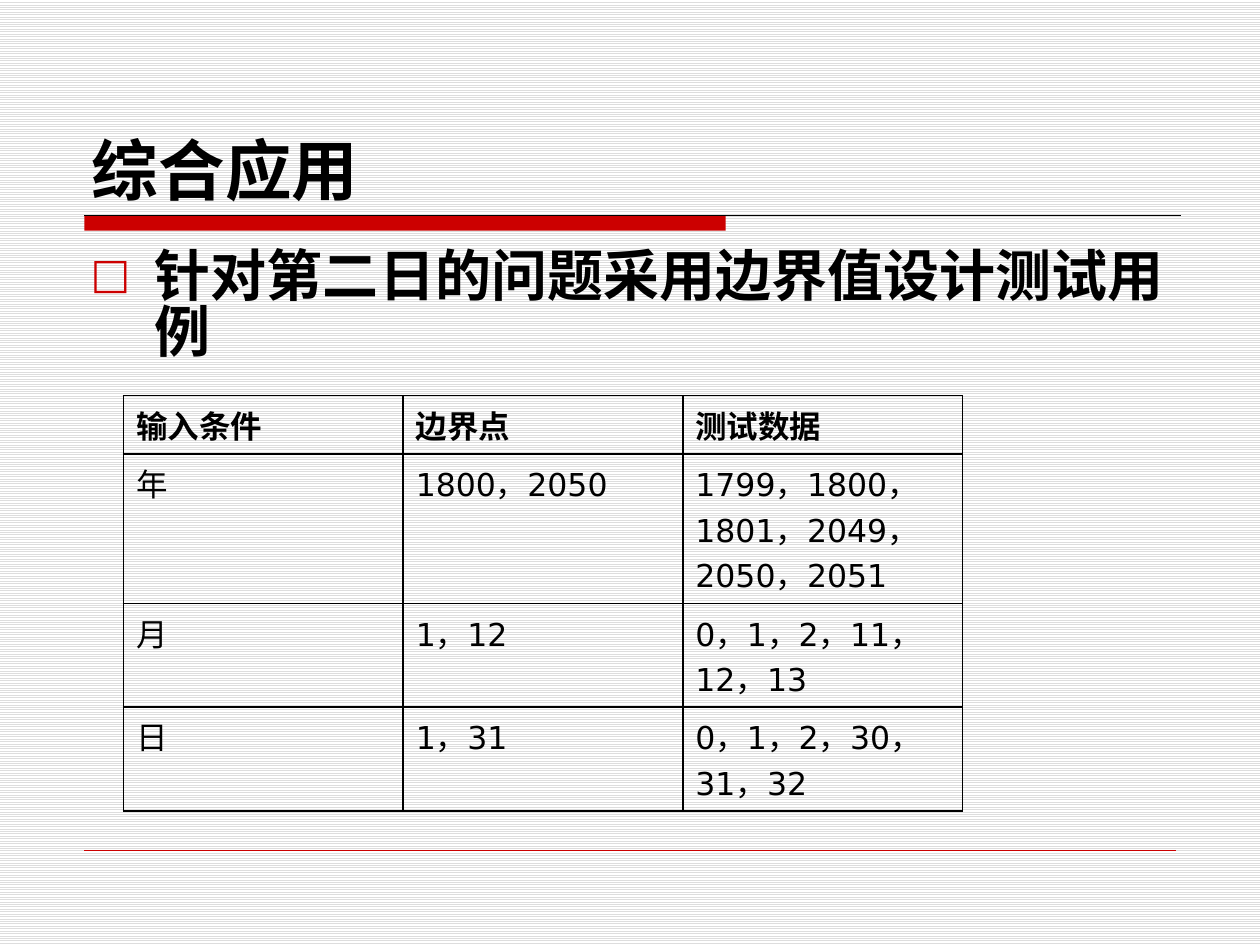
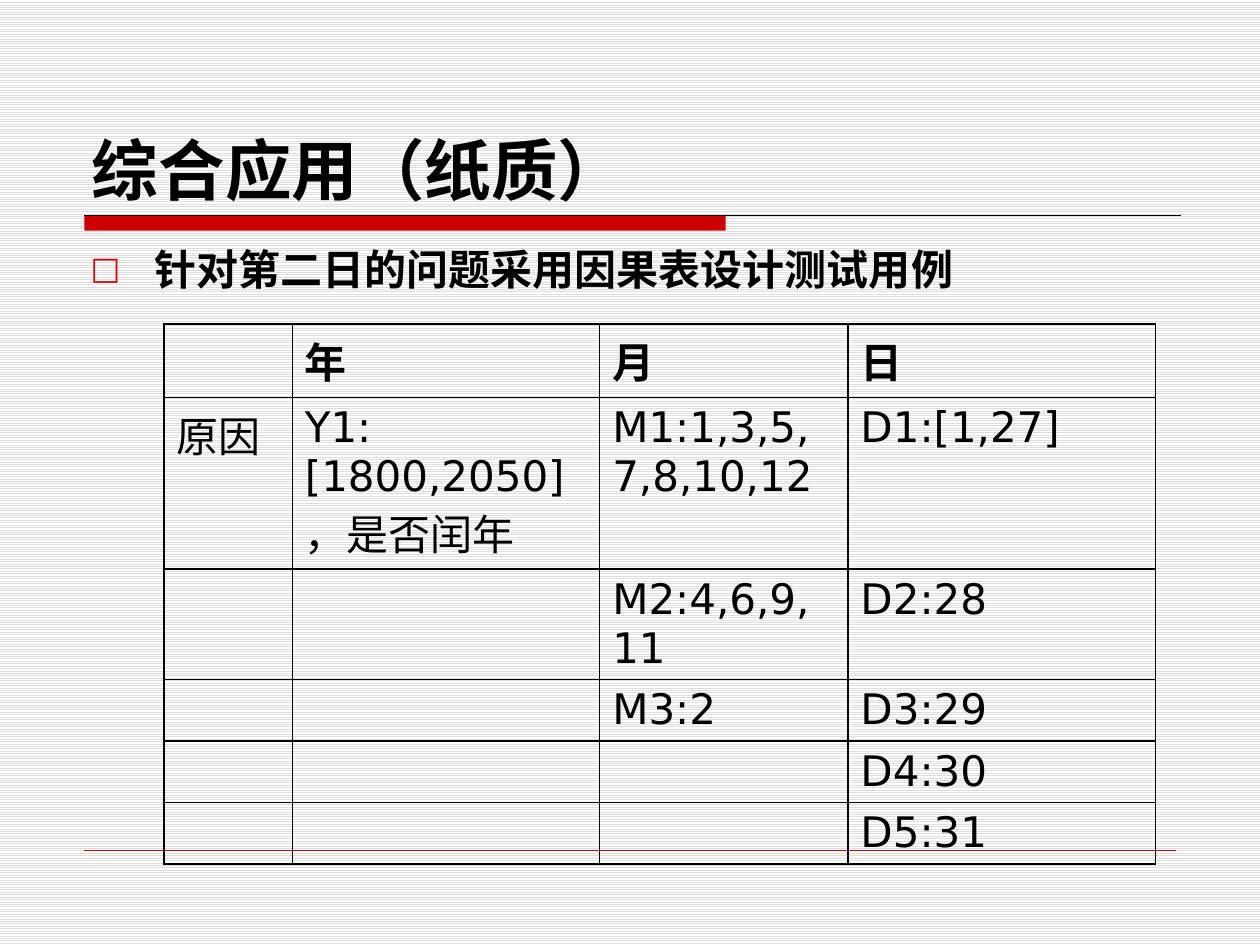
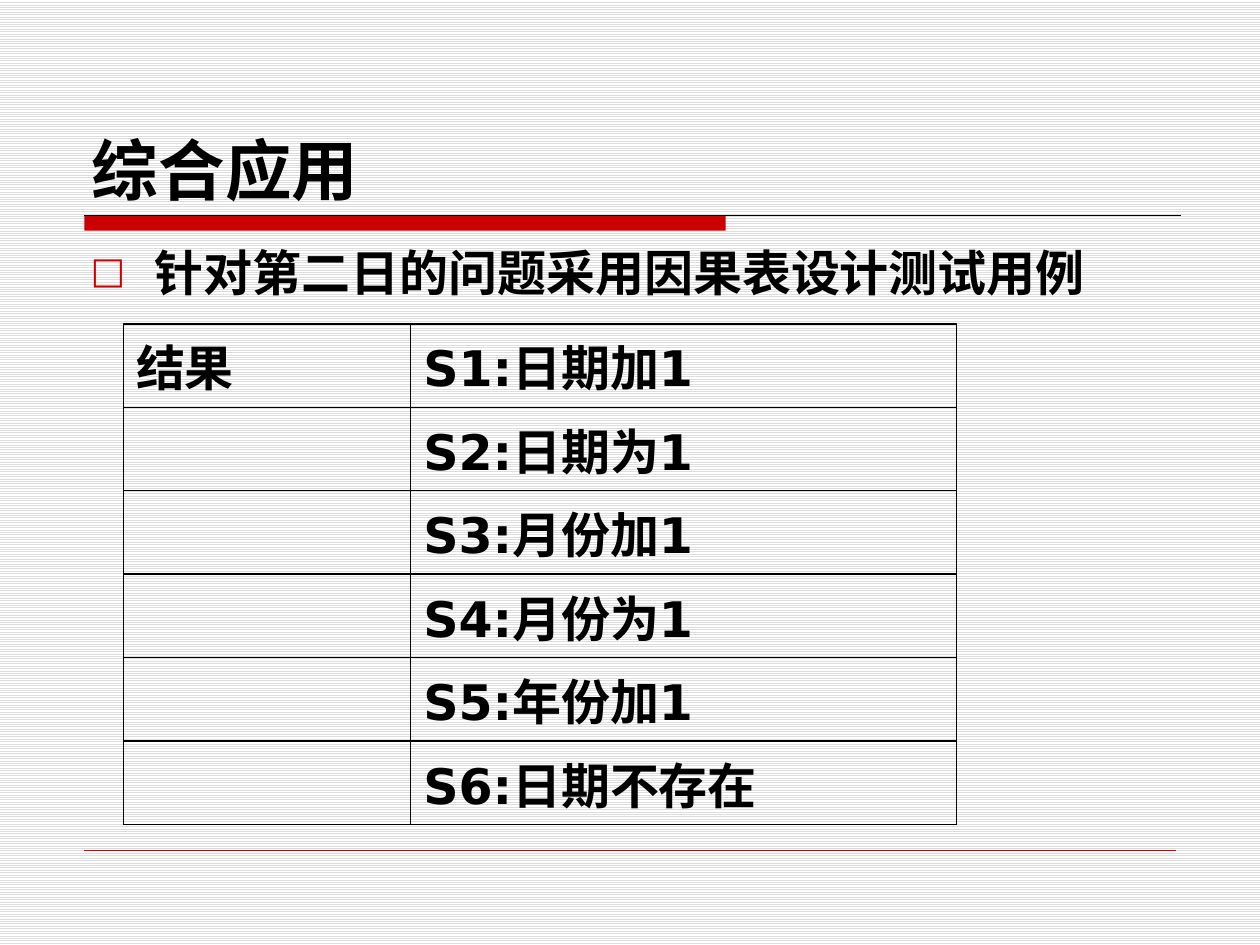
"""Builds three slides on boundary-value and cause-effect test design."""
from dataclasses import dataclass

from lxml.etree import SubElement
from pptx import Presentation
from pptx.dml.color import RGBColor
from pptx.enum.dml import MSO_PATTERN
from pptx.enum.shapes import MSO_CONNECTOR, MSO_SHAPE
from pptx.enum.text import MSO_ANCHOR, MSO_AUTO_SIZE, PP_ALIGN
from pptx.oxml.ns import qn
from pptx.util import Inches, Pt


@dataclass(frozen=True)
class Theme:
    """Colours, fonts and sizes shared by the slides."""
    ink: str = "000000"
    accent: str = "CC0000"
    stripe: str = "DDDDDD"
    paper: str = "FFFFFF"
    latin: str = "DejaVu Sans"
    cjk: str = "Noto Sans CJK SC"
    title_size: int = 38
    border: float = 1
    line_spacing: float = 0.83


THEME = Theme()
WIDTH, HEIGHT = 10, 7.5
LEFT, RIGHT = 0.67, 9.37
BAND_TOP, BAND_WIDTH, BAND_HEIGHT = 1.71, 5.09, 0.12
FOOT_TOP, FOOT_RIGHT = 0.9 * HEIGHT, 9.33
TITLE_BOX = (0.63, 0.33, 8.75, 1.33)
BODY_BOX = (0.62, 1.92, 8.75, 4.67)
INDENT = 0.51
ROW_HEIGHT = 0.41

SLIDES = [
    {
        "title": "综合应用",
        "point": "针对第二日的问题采用边界值设计测试用例",
        "point_size": 32,
        "grid_at": (0.98, 3.14),
        "columns": [2.22] * 3,
        "cell_size": 18,
        "bold_rows": 1,
        "rows": [
            ("输入条件", "边界点", "测试数据"),
            ("年", "1800，2050", "1799，1800，1801，2049，2050，2051"),
            ("月", "1，12", "0，1，2，11，12，13"),
            ("日", "1，31", "0，1，2，30，31，32"),
        ],
    },
    {
        "title": "综合应用（纸质）",
        "point": "针对第二日的问题采用因果表设计测试用例",
        "point_size": 24,
        "grid_at": (1.3, 2.57),
        "columns": [1.02, 2.44, 1.97, 2.44],
        "cell_size": 24,
        "bold_rows": 1,
        "rows": [
            ("", "年", "月", "日"),
            ("原因", "Y1:[1800,2050]，是否闰年", "M1:1,3,5,7,8,10,12", "D1:[1,27]"),
            ("", "", "M2:4,6,9,11", "D2:28"),
            ("", "", "M3:2", "D3:29"),
            ("", "", "", "D4:30"),
            ("", "", "", "D5:31"),
        ],
    },
    {
        "title": "综合应用",
        "point": "针对第二日的问题采用因果表设计测试用例",
        "point_size": 28,
        "grid_at": (0.98, 2.57),
        "columns": [2.28, 4.33],
        "cell_size": 28,
        "bold_rows": 6,
        "rows": [
            ("结果", "S1:日期加1"),
            ("", "S2:日期为1"),
            ("", "S3:月份加1"),
            ("", "S4:月份为1"),
            ("", "S5:年份加1"),
            ("", "S6:日期不存在"),
        ],
    },
]


def rgb(color):
    """Turn a hex string into a colour."""
    return RGBColor.from_string(color)


def write(frame, text, size, bold=False, latin=THEME.latin, spacing=None):
    """Fill a text frame with one left-aligned paragraph and return it."""
    paragraph = frame.paragraphs[0]
    paragraph.alignment = PP_ALIGN.LEFT
    paragraph.space_before = Pt(0)
    if spacing:
        paragraph.line_spacing = spacing
    run = paragraph.add_run()
    run.text = text
    font = run.font
    font.size, font.bold, font.name = Pt(size), bold, latin
    font.color.rgb = rgb(THEME.ink)
    font.fill._xPr.find(qn("a:latin")).addnext(
        SubElement(font.fill._xPr, qn("a:ea"), typeface=THEME.cjk))
    return paragraph


def add_bullet(paragraph):
    """Give a paragraph a hanging red square."""
    props = paragraph._p.get_or_add_pPr()
    props.set("marL", str(Inches(INDENT)))
    props.set("indent", str(-Inches(INDENT)))
    color = SubElement(props, qn("a:buClr"))
    SubElement(color, qn("a:srgbClr"), val=THEME.accent)
    SubElement(props, qn("a:buSzPct"), val="75000")
    SubElement(props, qn("a:buFont"), typeface=THEME.latin)
    SubElement(props, qn("a:buChar"), char="□")


def add_rule(slide, right, top, color, weight):
    """Draw a horizontal line from the left margin."""
    rule = slide.shapes.add_connector(
        MSO_CONNECTOR.STRAIGHT, *map(Inches, (LEFT, top, right, top)))
    rule.line.color.rgb = rgb(color)
    rule.line.width = Pt(weight)
    SubElement(rule._element.spPr, qn("a:effectLst"))


def add_frame(slide):
    """Draw the band under the title and the foot line."""
    band = slide.shapes.add_shape(
        MSO_SHAPE.RECTANGLE, *map(Inches, (LEFT, BAND_TOP, BAND_WIDTH, BAND_HEIGHT)))
    band.shadow.inherit = False
    band.fill.solid()
    band.fill.fore_color.rgb = rgb(THEME.accent)
    band.line.fill.background()
    add_rule(slide, RIGHT, BAND_TOP, THEME.ink, 0.75)
    add_rule(slide, FOOT_RIGHT, FOOT_TOP, THEME.accent, 0.25)


def outline(cell):
    """Draw all four borders of a cell and leave it unfilled."""
    props = cell._tc.get_or_add_tcPr()
    for side in ("lnL", "lnR", "lnT", "lnB"):
        border = SubElement(props, qn(f"a:{side}"), w=str(Pt(THEME.border)))
        fill = SubElement(border, qn("a:solidFill"))
        SubElement(fill, qn("a:srgbClr"), val=THEME.ink)
    cell.fill.background()


def add_grid(slide, content):
    """Add the table of test conditions."""
    rows, columns = content["rows"], content["columns"]
    box = (*content["grid_at"], sum(columns), ROW_HEIGHT * len(rows))
    grid = slide.shapes.add_table(len(rows), len(columns), *map(Inches, box)).table
    grid.first_row = grid.horz_banding = False
    for column, width in zip(grid.columns, columns):
        column.width = Inches(width)
    for r, row in enumerate(rows):
        for c, text in enumerate(row):
            cell = grid.cell(r, c)
            outline(cell)
            if text:
                write(cell.text_frame, text, content["cell_size"],
                      bold=r < content["bold_rows"])


def place(holder, box):
    """Move a placeholder to a box given in inches."""
    holder.left, holder.top, holder.width, holder.height = map(Inches, box)
    holder.text_frame.auto_size = MSO_AUTO_SIZE.NONE


def add_slide(prs, content):
    """Build one slide from its content."""
    slide = prs.slides.add_slide(prs.slide_layouts[1])
    add_frame(slide)
    title, body = slide.placeholders
    place(title, TITLE_BOX)
    title.text_frame.vertical_anchor = MSO_ANCHOR.BOTTOM
    title.text_frame.margin_bottom = 0
    write(title.text_frame, content["title"], THEME.title_size, bold=True, latin=THEME.cjk)
    place(body, BODY_BOX)
    body.text_frame.margin_top = Inches(0.08)
    add_bullet(write(body.text_frame, content["point"], content["point_size"],
                     bold=True, spacing=THEME.line_spacing))
    add_grid(slide, content)


def main():
    """Build and save the presentation."""
    prs = Presentation()
    prs.slide_width, prs.slide_height = Inches(WIDTH), Inches(HEIGHT)
    backdrop = prs.slide_master.background.fill
    backdrop.patterned()
    backdrop.pattern = MSO_PATTERN.LIGHT_HORIZONTAL
    backdrop.fore_color.rgb = rgb(THEME.stripe)
    backdrop.back_color.rgb = rgb(THEME.paper)
    for content in SLIDES:
        add_slide(prs, content)
    prs.save("out.pptx")


if __name__ == "__main__":
    main()
